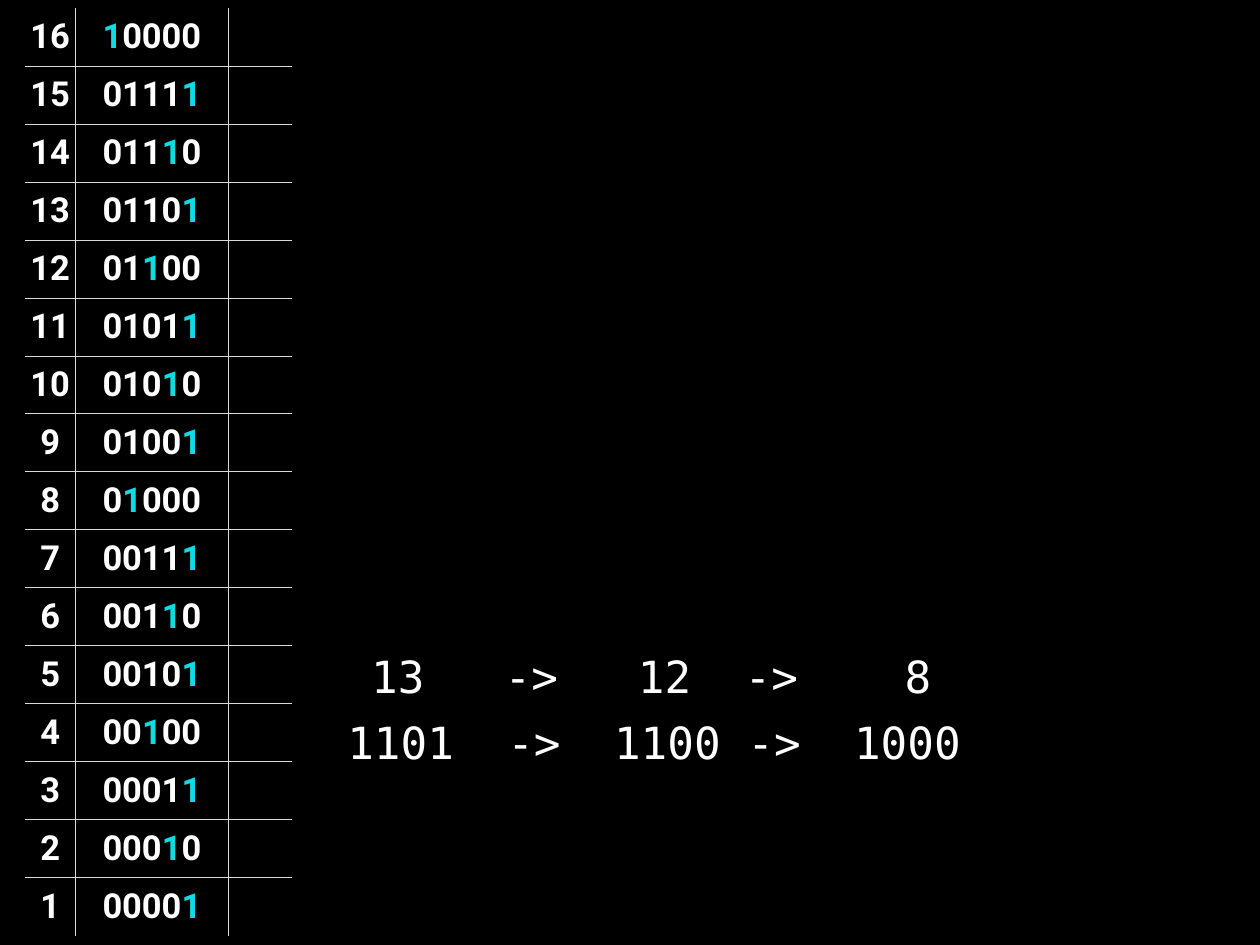
from pptx import Presentation
from pptx.dml.color import RGBColor
from pptx.enum.text import MSO_ANCHOR, PP_ALIGN
from pptx.oxml.ns import qn
from pptx.util import Inches, Pt
from lxml.etree import SubElement

WHITE, CYAN, BLACK, GRID = "FFFFFF", "11DBE2", "000000", "D9D9D9"
INSET = 0.06
BITS = 5
LARGEST = 16
MONO_CHAR = 0.301


def colour(hex_string):
    """Turn a hex string into a colour."""
    return RGBColor.from_string(hex_string)


def write(paragraph, text, font="Roboto", size=28, color=WHITE, bold=False):
    """Append one formatted run to a paragraph."""
    run = paragraph.add_run()
    run.text = text
    run.font.name, run.font.size, run.font.bold = font, Pt(size), bold
    run.font.color.rgb = colour(color)


def set_borders(cell, visible):
    """Draw the named sides of a cell and hide the others."""
    properties = cell._tc.get_or_add_tcPr()
    for side in ("lnL", "lnR", "lnT", "lnB"):
        line = SubElement(properties, qn(f"a:{side}"), w=str(Pt(0.75)))
        if side in visible:
            fill = SubElement(line, qn("a:solidFill"))
            SubElement(fill, qn("a:srgbClr"), val=GRID)
        else:
            SubElement(line, qn("a:noFill"))


def add_binary_table(slide, left, top, width, height):
    """List the numbers downwards in binary with the lowest set bit marked."""
    shares = (0.19, 0.57, 0.24)
    table = slide.shapes.add_table(LARGEST, len(shares), Inches(left), Inches(top),
                                   Inches(width), Inches(height)).table
    table.first_row = table.horz_banding = False
    for column, share in zip(table.columns, shares):
        column.width = Inches(width * share)

    for row in range(LARGEST):
        for column in range(len(shares)):
            cell = table.cell(row, column)
            sides = {"lnL": column > 0, "lnR": column < len(shares) - 1,
                     "lnT": row > 0, "lnB": row < LARGEST - 1}
            set_borders(cell, [side for side, inner in sides.items() if inner])
            cell.fill.background()
            cell.vertical_anchor = MSO_ANCHOR.MIDDLE
            cell.margin_left = cell.margin_right = Inches(INSET)
            cell.margin_top = cell.margin_bottom = Inches(INSET)
            cell.text_frame.paragraphs[0].alignment = PP_ALIGN.CENTER

        number = LARGEST - row
        write(table.cell(row, 0).text_frame.paragraphs[0], str(number), bold=True)
        digits = f"{number:0{BITS}b}"
        lowest = digits.rindex("1")
        binary = table.cell(row, 1).text_frame.paragraphs[0]
        for part, color in ((digits[:lowest], WHITE), ("1", CYAN),
                            (digits[lowest + 1:], WHITE)):
            if part:
                write(binary, part, color=color, bold=True)


def add_steps(slide, steps, columns, left, top, width, height):
    """Write a chain of steps, each starting at its character column."""
    frame = slide.shapes.add_textbox(Inches(left), Inches(top),
                                     Inches(width), Inches(height)).text_frame
    frame.word_wrap = True
    frame.vertical_anchor = MSO_ANCHOR.MIDDLE
    frame.margin_left = frame.margin_right = Inches(INSET)
    frame.margin_top = frame.margin_bottom = Inches(INSET)
    paragraph = frame.paragraphs[0]
    stops = SubElement(paragraph._p.get_or_add_pPr(), qn("a:tabLst"))
    for column in columns:
        SubElement(stops, qn("a:tab"), pos=str(Inches(column * MONO_CHAR)), algn="l")
    write(paragraph, "\t".join(steps), font="DejaVu Sans Mono", size=36)


def main():
    """Build the slide and save it."""
    deck = Presentation()
    deck.slide_width, deck.slide_height = Inches(14.22), Inches(10.67)
    slide = deck.slides.add_slide(deck.slide_layouts[6])
    slide.background.fill.solid()
    slide.background.fill.fore_color.rgb = colour(BLACK)

    add_binary_table(slide, 0.28, 0.09, 3.02, 10.48)
    add_steps(slide, ("13", "->", "12", "->", "8"), (5, 10, 14, 20),
              4.13, 7.29, 6.45, 0.68)
    add_steps(slide, ("1101", "->", "1100", "->", "1000"), (6, 10, 15, 19),
              3.86, 8.03, 7.05, 0.68)
    deck.save("out.pptx")


if __name__ == "__main__":
    main()
